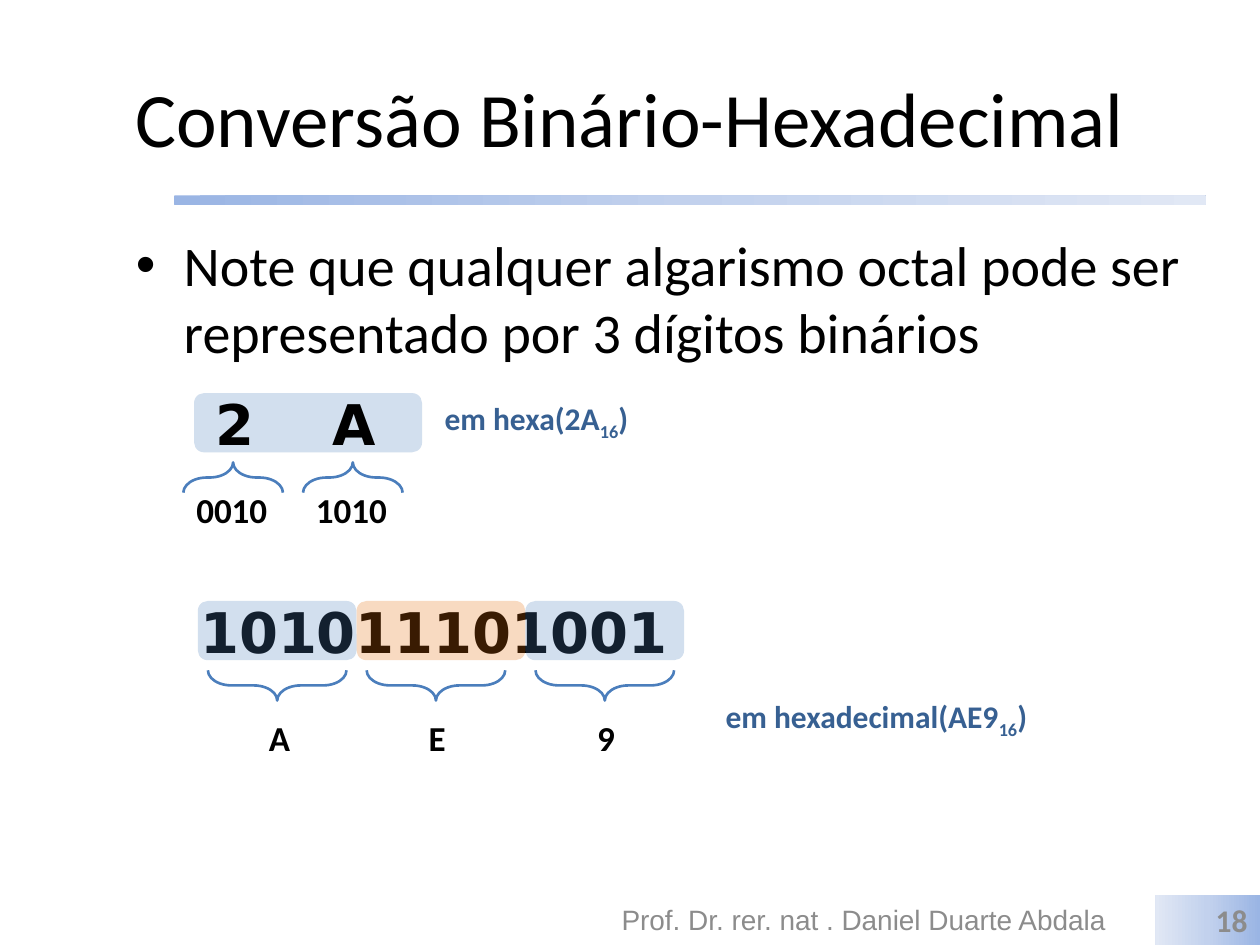
from copy import deepcopy

from lxml import etree
from pptx import Presentation
from pptx.dml.color import RGBColor
from pptx.enum.shapes import MSO_SHAPE
from pptx.enum.text import MSO_ANCHOR, PP_ALIGN
from pptx.oxml.ns import qn
from pptx.util import Inches, Pt

ROUNDED, RECTANGLE, BRACE = MSO_SHAPE.ROUNDED_RECTANGLE, MSO_SHAPE.RECTANGLE, MSO_SHAPE.RIGHT_BRACE
TOP, MIDDLE = MSO_ANCHOR.TOP, MSO_ANCHOR.MIDDLE
LEFT, CENTER, RIGHT = PP_ALIGN.LEFT, PP_ALIGN.CENTER, PP_ALIGN.RIGHT

BLACK, GRAY, NAVY = "000000", "8C8C8C", "376092"
BLUE, ORANGE, BRACE_BLUE = "4F81BD", "E46C0A", "4B7EBC"
GRADIENT = [(0, "9AB5E4"), (0.5, "C2D1ED"), (1, "E1E8F5")]


def color(value):
    return RGBColor.from_string(value)


def add_shape(page, kind, box):
    shape = page.shapes.add_shape(kind, *map(Inches, box))
    shape.shadow.inherit = False
    shape.line.fill.background()
    return shape


def write(frame, text, size=18, font="Calibri", ink=BLACK, bold=False,
          align=LEFT, anchor=TOP, wrap=True, subscript="", tail=""):
    frame.word_wrap = wrap
    frame.vertical_anchor = anchor
    para = frame.paragraphs[0]
    para.alignment = align
    for part in filter(None, (text, subscript, tail)):
        span = para.add_run()
        span.text = part
        span.font.size = Pt(size)
        span.font.name = font
        span.font.bold = bold
        span.font.color.rgb = color(ink)
        if part == subscript:
            span.font._element.set("baseline", "-25000")
    return para


def add_text(page, box, text, **style):
    return write(page.shapes.add_textbox(*map(Inches, box)).text_frame, text, **style)


def add_gradient(page, kind, box, angle):
    shape = add_shape(page, kind, box)
    shape.fill.gradient()
    shape.fill.gradient_angle = angle
    stop_list = shape._element.spPr.find(qn("a:gradFill")).find(qn("a:gsLst"))
    stop_list.insert(1, deepcopy(stop_list[0]))
    for stop, (position, value) in zip(shape.fill.gradient_stops, GRADIENT):
        stop.position = position
        stop.color.rgb = color(value)
    return shape


def add_highlight(page, box, value):
    shape = add_shape(page, ROUNDED, box)
    shape.fill.solid()
    shape.fill.fore_color.rgb = color(value)
    tint = shape._element.spPr.find(qn("a:solidFill"))[0]
    etree.SubElement(tint, qn("a:alpha")).set("val", "25000")


def add_brace(page, center, middle, span, rotation):
    depth = 0.24
    brace = add_shape(page, BRACE, (center - depth / 2, middle - span / 2, depth, span))
    brace.rotation = rotation
    brace.adjustments[0] = 0.778
    brace.fill.background()
    brace.line.color.rgb = color(BRACE_BLUE)
    brace.line.width = Pt(1.5)


def add_label(page, center, top, width, text):
    add_text(page, (center - width / 2, top, width, 0.44), text,
             size=20, bold=True, align=CENTER, wrap=False)


def add_heading(page, box):
    add_gradient(page, ROUNDED, (1.38, 1.55, 8.19, 0.08), 0)
    add_text(page, box, "Conversão Binário-Hexadecimal", size=44, align=CENTER, anchor=MIDDLE)


def add_statement(page, box):
    para = add_text(page, box, "Note que qualquer algarismo octal pode ser "
                    "representado por 3 dígitos binários", size=32)
    para.space_before = Pt(6.4)
    properties = para._p.get_or_add_pPr()
    properties.set("marL", str(Inches(0.38)))
    properties.set("indent", str(Inches(-0.38)))
    etree.SubElement(properties, qn("a:buFont")).set("typeface", "Arial")
    etree.SubElement(properties, qn("a:buChar")).set("char", "•")


def add_hexadecimal_to_binary(page, box):
    left, top, width, height = box
    add_highlight(page, box, BLUE)
    para = add_text(page, (left + 0.07, top - 0.08, 1.57, 0.64), "2\tA",
                    size=32, font="DejaVu Sans", bold=True)
    tabs = etree.SubElement(para._p.get_or_add_pPr(), qn("a:tabLst"))
    etree.SubElement(tabs, qn("a:tab"), pos=str(Inches(0.93)), algn="l")
    for index, digits in enumerate(("0010", "1010")):
        center = left + 0.31 + index * 0.95
        add_brace(page, center, top + 0.67, 0.79, 270)
        add_label(page, center - 0.01, top + 0.71, 0.77, digits)
    add_text(page, (left + width + 0.08, top, 1.69, 0.4), "em hexa(2A",
             subscript="16", tail=")", ink=NAVY, bold=True, wrap=False)


def add_binary_to_hexadecimal(page, box):
    left, top, width, height = box
    add_text(page, (left - 0.08, top - 0.08, 4.72, 0.64), "101011101001",
             size=32, font="DejaVu Sans", bold=True)
    groups = [("A", 1.26, BLUE), ("E", 1.34, ORANGE), ("9", 1.26, BLUE)]
    start = left
    for digit, group_width, value in groups:
        add_highlight(page, (start, top, group_width, height), value)
        add_brace(page, start + 0.63, top + 0.67, 1.1, 90)
        add_label(page, start + 0.64, top + 0.87, 0.35, digit)
        start += group_width
    add_text(page, (left + width + 0.23, top + 0.71, 2.72, 0.4), "em hexadecimal(AE9",
             subscript="16", tail=")", ink=NAVY, bold=True, wrap=False)


def add_footer(page, box):
    left, top, width, height = box
    add_text(page, (left, top, 4.19, height), "Prof. Dr. rer. nat . Daniel Duarte Abdala",
             size=16, font="Arial", ink=GRAY, align=CENTER, anchor=MIDDLE)
    number = add_gradient(page, RECTANGLE, (left + width - 0.83, top, 0.83, height), 180)
    write(number.text_frame, "18", ink=GRAY, bold=True, align=RIGHT, anchor=MIDDLE)


def main():
    deck = Presentation()
    deck.slide_width, deck.slide_height = Inches(10), Inches(7.5)
    page = deck.slides.add_slide(deck.slide_layouts[6])
    add_heading(page, (0.5, 0.3, 9, 1.25))
    add_statement(page, (0.98, 1.78, 8.67, 1.26))
    add_hexadecimal_to_binary(page, (1.54, 3.12, 1.81, 0.47))
    add_binary_to_hexadecimal(page, (1.57, 4.77, 3.86, 0.47))
    add_footer(page, (4.76, 7.1, 5.24, 0.4))
    deck.save("out.pptx")


if __name__ == "__main__":
    main()
